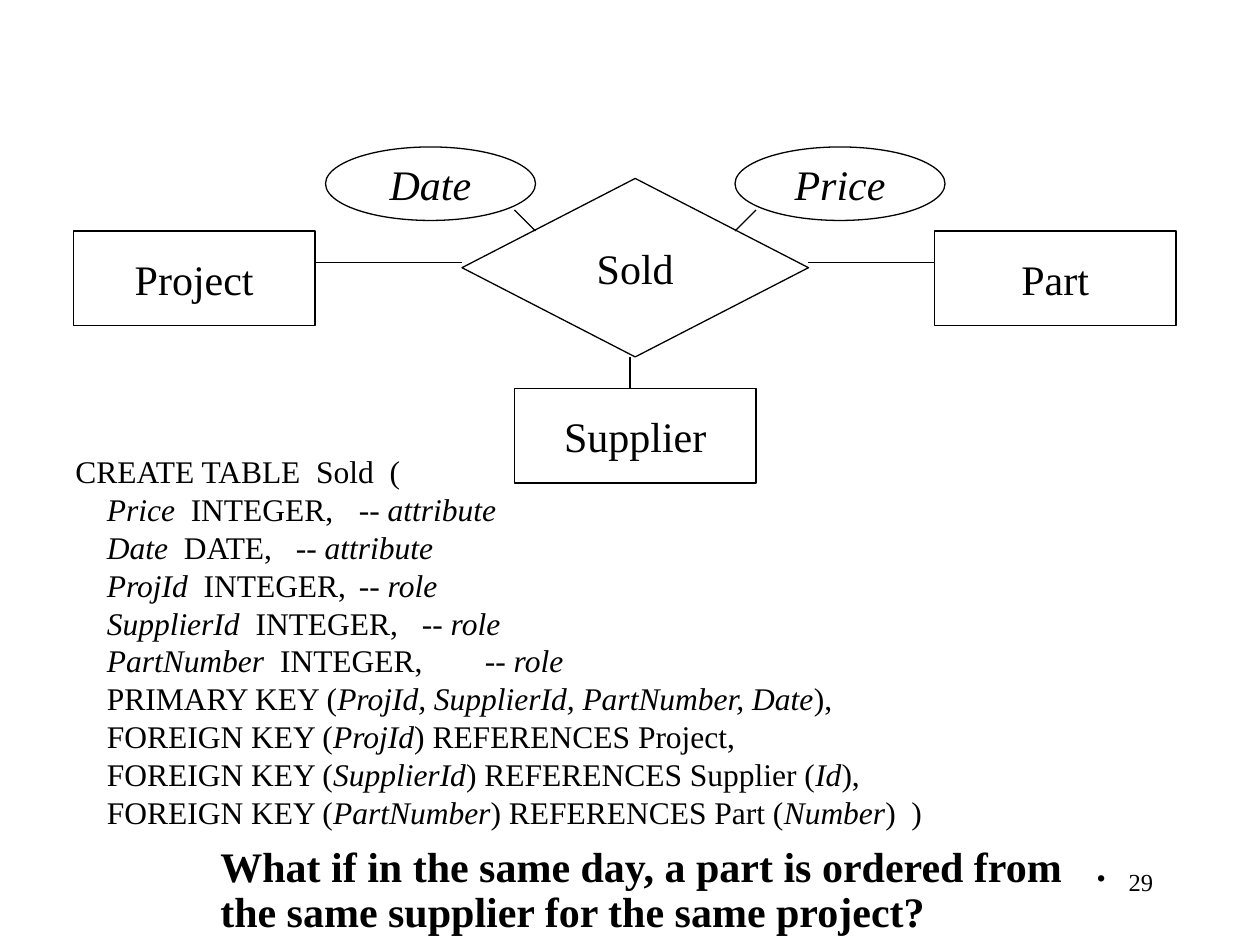
from dataclasses import dataclass

from lxml.etree import SubElement
from pptx import Presentation
from pptx.dml.color import RGBColor
from pptx.enum.shapes import MSO_CONNECTOR, MSO_SHAPE
from pptx.enum.text import MSO_ANCHOR, PP_ALIGN
from pptx.oxml.ns import qn
from pptx.util import Inches, Pt

FONT = "Times New Roman"
INK = "000000"
PAPER = "FFFFFF"
CELLS_PER_INCH = 12


@dataclass(frozen=True)
class Node:
    label: str
    kind: MSO_SHAPE
    col: int
    row: int
    cols: int
    rows: int
    italic: bool = False


@dataclass(frozen=True)
class Link:
    start: tuple[int, int]
    end: tuple[int, int]


def entity(label: str, col: int, row: int) -> Node:
    return Node(label, MSO_SHAPE.RECTANGLE, col, row, 23, 9)


def attribute(label: str, col: int) -> Node:
    return Node(label, MSO_SHAPE.OVAL, col, 14, 20, 7, True)


NODES = [
    Node("Sold", MSO_SHAPE.DIAMOND, 44, 17, 33, 17),
    entity("Project", 7, 22),
    entity("Part", 89, 22),
    entity("Supplier", 49, 37),
    attribute("Date", 31),
    attribute("Price", 70),
]
LINKS = [
    Link((77, 25), (89, 25)),
    Link((44, 25), (30, 25)),
    Link((49, 20), (51, 22)),
    Link((60, 34), (60, 37)),
    Link((72, 20), (70, 22)),
]
SQL_LINES = [
    "CREATE TABLE  Sold  (",
    "*Price*  INTEGER,\t-- *attribute*",
    "*Date*  DATE,\t-- *attribute*",
    "*ProjId*  INTEGER,\t-- *role*",
    "*SupplierId*  INTEGER,\t-- *role*",
    "*PartNumber*  INTEGER,\t-- *role*",
    "PRIMARY KEY (*ProjId, SupplierId, PartNumber, Date*),",
    "FOREIGN KEY (*ProjId*) REFERENCES Project,",
    "FOREIGN KEY (*SupplierId*) REFERENCES Supplier (*Id*),",
    "FOREIGN KEY (*PartNumber*) REFERENCES Part (*Number*)  )",
]
QUESTION = (
    "What if in the same day, a part is ordered from "
    "the same supplier for the same project?"
)


def color(value: str) -> RGBColor:
    return RGBColor.from_string(value)


def grid(cells: float) -> int:
    return Inches(cells / CELLS_PER_INCH)


def style(run, size: float, bold: bool = False, italic: bool = False) -> None:
    run.font.name = FONT
    run.font.size = Pt(size)
    run.font.bold = bold
    run.font.italic = italic
    run.font.color.rgb = color(INK)


def draw_node(slide, node: Node) -> None:
    shape = slide.shapes.add_shape(
        node.kind, grid(node.col), grid(node.row), grid(node.cols), grid(node.rows)
    )
    shape.shadow.inherit = False
    shape.fill.solid()
    shape.fill.fore_color.rgb = color(PAPER)
    shape.line.color.rgb = color(INK)
    shape.line.width = Pt(0.75)
    frame = shape.text_frame
    frame.text = node.label
    frame.word_wrap = False
    frame.vertical_anchor = MSO_ANCHOR.MIDDLE
    frame.paragraphs[0].alignment = PP_ALIGN.CENTER
    style(frame.paragraphs[0].runs[0], 24, italic=node.italic)


def draw_link(slide, link: Link) -> None:
    line = slide.shapes.add_connector(
        MSO_CONNECTOR.STRAIGHT, *map(grid, link.start + link.end)
    )
    line.line.color.rgb = color(INK)
    line.line.width = Pt(0.75)
    SubElement(line._element.spPr, qn("a:effectLst"))


def add_text(slide, col: float, row: float, cols: float, rows: float):
    frame = slide.shapes.add_textbox(
        grid(col), grid(row), grid(cols), grid(rows)
    ).text_frame
    frame.word_wrap = True
    return frame


def draw_sql(slide) -> None:
    frame = add_text(slide, 6, 42.5, 85, 37)
    for index, line in enumerate(SQL_LINES):
        paragraph = frame.paragraphs[0] if index == 0 else frame.add_paragraph()
        properties = paragraph._p.get_or_add_pPr()
        if index:
            properties.set("marL", str(Inches(0.25)))
            properties.set("indent", "0")
        if "\t" in line:
            stops = SubElement(properties, qn("a:tabLst"))
            SubElement(stops, qn("a:tab"), pos=str(Inches(3.23)), algn="l")
        for part, words in enumerate(line.split("*")):
            if words:
                run = paragraph.add_run()
                run.text = words
                style(run, 18, italic=part % 2 == 1)


def draw_question(slide) -> None:
    frame = add_text(slide, 19.8, 80, 88.5, 10)
    frame.text = QUESTION
    paragraph = frame.paragraphs[0]
    paragraph.line_spacing = 0.9
    paragraph.space_before = Pt(4.8)
    style(paragraph.runs[0], 24, bold=True)


def draw_page_number(slide) -> None:
    frame = add_text(slide, 86, 82, 25, 6)
    frame.text = "29"
    paragraph = frame.paragraphs[0]
    paragraph.alignment = PP_ALIGN.RIGHT
    properties = paragraph._p.get_or_add_pPr()
    properties.set("marL", str(Inches(0.25)))
    properties.set("indent", str(-Inches(0.25)))
    SubElement(properties, qn("a:buChar"), char="•")
    style(paragraph.runs[0], 14)


def main() -> None:
    deck = Presentation()
    deck.slide_width = Inches(10)
    deck.slide_height = Inches(7.5)
    slide = deck.slides.add_slide(deck.slide_layouts[6])
    draw_sql(slide)
    for node in NODES:
        draw_node(slide, node)
    for link in LINKS:
        draw_link(slide, link)
    draw_page_number(slide)
    draw_question(slide)
    deck.save("out.pptx")


if __name__ == "__main__":
    main()
